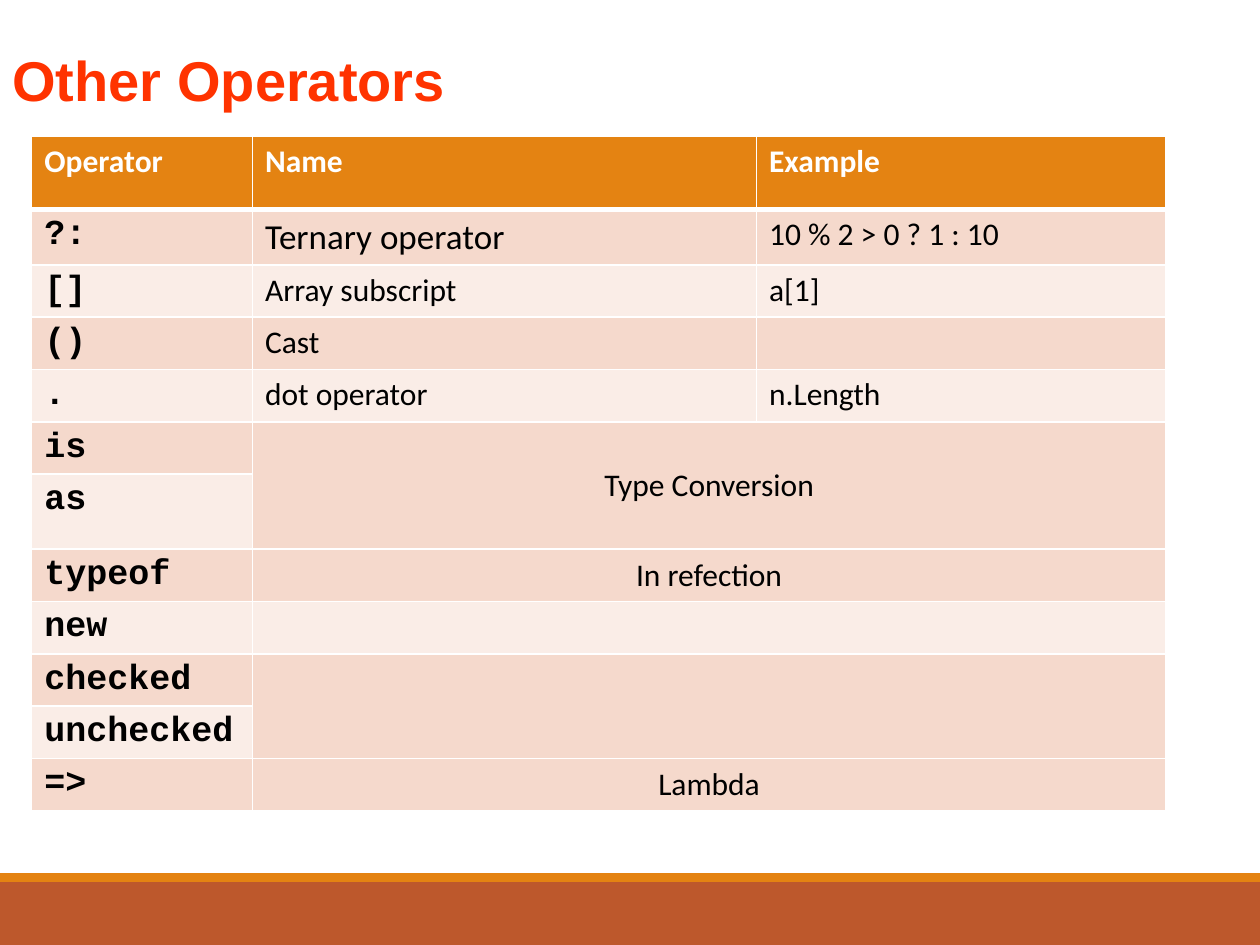
from dataclasses import dataclass

from lxml import etree
from pptx import Presentation
from pptx.dml.color import RGBColor
from pptx.enum.shapes import MSO_SHAPE
from pptx.enum.text import MSO_ANCHOR, PP_ALIGN
from pptx.oxml.ns import qn
from pptx.util import Cm, Pt

RECT = MSO_SHAPE.RECTANGLE
MIDDLE = MSO_ANCHOR.MIDDLE
LEFT, CENTER = PP_ALIGN.LEFT, PP_ALIGN.CENTER


@dataclass(frozen=True)
class Theme:
    head: str = "E48312"
    base: str = "BD582C"
    odd: str = "F5D9CC"
    even: str = "FAEDE7"
    white: str = "FFFFFF"
    black: str = "000000"
    title: str = "FF3300"
    title_font: str = "Arial"
    body_font: str = "Calibri"
    code_font: str = "Courier New"
    title_size: int = 32
    code_size: int = 20
    body_size: int = 18
    thin: int = 1
    thick: int = 3


@dataclass(frozen=True)
class Row:
    code: str
    name: str = ""
    sample: str | None = None  # None: name fills both columns
    down: int = 1              # rows filled by name; 0: filled from above
    size: int = 18             # type size of name
    high: float = 1.05


@dataclass(frozen=True)
class Bar:
    top: float
    high: float
    color: str


THEME = Theme()
WIDE, HIGH = 25.4, 19.05
COLS = (4.45, 10.16, 8.25)
HEADS = ("Operator", "Name", "Example")
HEAD_HIGH = 1.47
ROWS = (
    Row("?:", "Ternary operator", "10 % 2 > 0 ? 1 : 10", size=20, high=1.1),
    Row("[]", "Array subscript", "a[1]"),
    Row("()", "Cast", ""),
    Row(".", "dot operator", "n.Length"),
    Row("is", "Type Conversion", down=2),
    Row("as", down=0, high=1.51),
    Row("typeof", "In refection"),
    Row("new"),
    Row("checked", down=2),
    Row("unchecked", down=0),
    Row("=>", "Lambda"),
)
BARS = (Bar(17.78, 1.27, THEME.base), Bar(17.6, 0.18, THEME.head))


def style(frame, text: str, font: str, size: int, color: str,
          bold: bool = False, align=LEFT) -> None:
    frame.text = text
    for para in frame.paragraphs:
        para.alignment = align
        para.font.size = Pt(size)
        for run in para.runs:
            run.font.name = font
            run.font.size = Pt(size)
            run.font.bold = bold
            run.font.color.rgb = RGBColor.from_string(color)


def paint(cell, color: str, top: int, base: int) -> None:
    """Draw the white borders, then the fill."""
    props = cell._tc.get_or_add_tcPr()
    sides = {"a:lnL": THEME.thin, "a:lnR": THEME.thin, "a:lnT": top, "a:lnB": base}
    for side, width in sides.items():
        line = etree.SubElement(props, qn(side), w=str(Pt(width)))
        fill = etree.SubElement(line, qn("a:solidFill"))
        etree.SubElement(fill, qn("a:srgbClr"), val=THEME.white)
    cell.fill.solid()
    cell.fill.fore_color.rgb = RGBColor.from_string(color)


def draw_bar(slide, bar: Bar) -> None:
    shape = slide.shapes.add_shape(RECT, 0, Cm(bar.top), Cm(WIDE), Cm(bar.high))
    shape.shadow.inherit = False
    shape.fill.solid()
    shape.fill.fore_color.rgb = RGBColor.from_string(bar.color)
    shape.line.fill.background()


def draw_title(slide, text: str) -> None:
    box = slide.shapes.add_textbox(0, Cm(0.64), Cm(23), Cm(1.9))
    frame = box.text_frame
    frame.word_wrap = True
    frame.vertical_anchor = MIDDLE
    style(frame, text, THEME.title_font, THEME.title_size, THEME.title, bold=True)


def fill_row(table, index: int, row: Row) -> None:
    code, name, sample = (table.cell(index, col) for col in range(3))
    color = THEME.odd if index % 2 else THEME.even
    top = THEME.thick if index == 1 else THEME.thin
    for cell in (code, name, sample):
        paint(cell, color, top, THEME.thin)
    style(code.text_frame, row.code, THEME.code_font, THEME.code_size,
          THEME.black, bold=True)
    if not row.down:
        return
    merged = row.sample is None
    style(name.text_frame, row.name, THEME.body_font, row.size, THEME.black,
          align=CENTER if merged else LEFT)
    if merged:
        name.merge(table.cell(index + row.down - 1, 2))
        name.vertical_anchor = MIDDLE
    else:
        style(sample.text_frame, row.sample, THEME.body_font, THEME.body_size,
              THEME.black)


def draw_table(slide) -> None:
    highs = [HEAD_HIGH] + [row.high for row in ROWS]
    table = slide.shapes.add_table(len(highs), len(COLS), Cm(0.64), Cm(2.75),
                                   Cm(sum(COLS)), Cm(sum(highs))).table
    for col, width in zip(table.columns, COLS):
        col.width = Cm(width)
    for line, high in zip(table.rows, highs):
        line.height = Cm(high)
    for cell, text in zip(table.rows[0].cells, HEADS):
        paint(cell, THEME.head, THEME.thin, THEME.thick)
        style(cell.text_frame, text, THEME.body_font, THEME.body_size,
              THEME.white, bold=True)
    for index, row in enumerate(ROWS, 1):
        fill_row(table, index, row)


def main() -> None:
    deck = Presentation()
    deck.slide_width, deck.slide_height = Cm(WIDE), Cm(HIGH)
    slide = deck.slides.add_slide(deck.slide_layouts[6])

    # Bars at the foot
    for bar in BARS:
        draw_bar(slide, bar)

    # Table and title
    draw_table(slide)
    draw_title(slide, "Other Operators")

    deck.save("out.pptx")


if __name__ == "__main__":
    main()
